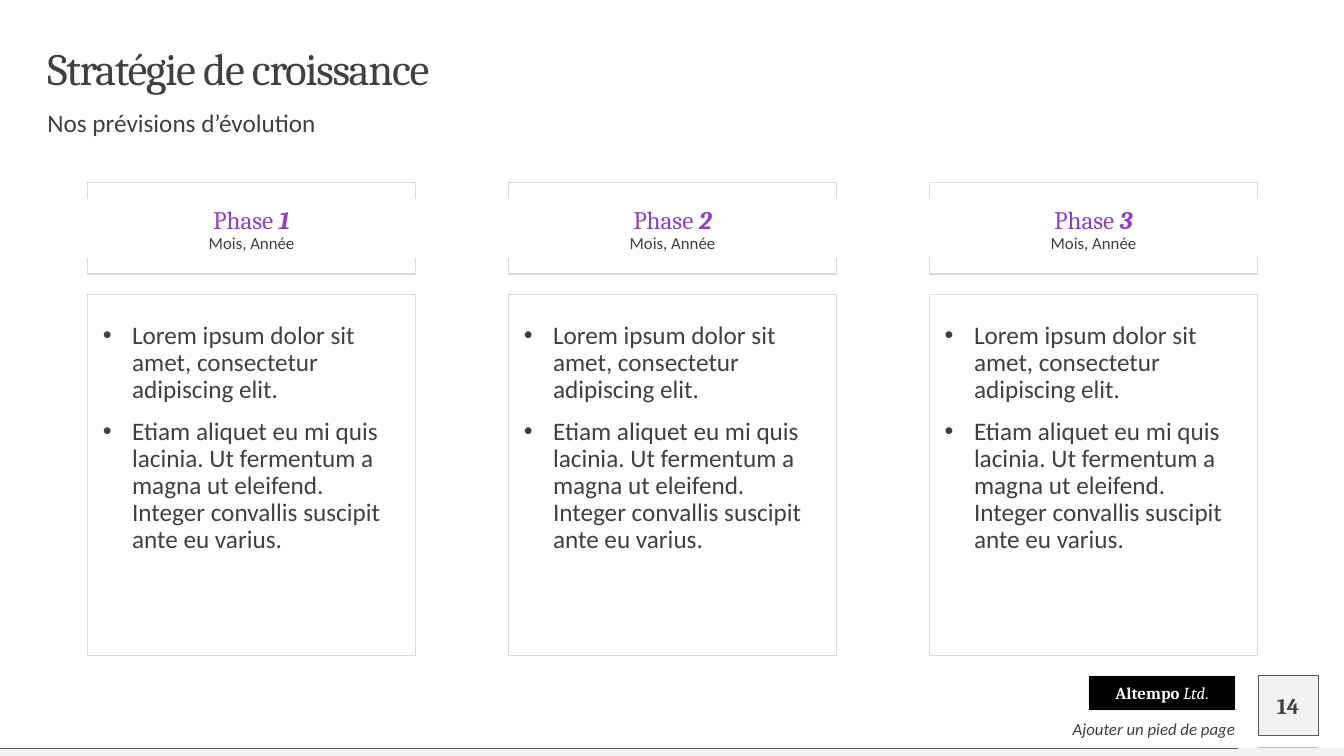
from lxml import etree
from pptx import Presentation
from pptx.dml.color import RGBColor
from pptx.enum.shapes import MSO_CONNECTOR, MSO_SHAPE
from pptx.enum.text import MSO_ANCHOR, MSO_AUTO_SIZE, PP_ALIGN
from pptx.oxml.ns import qn
from pptx.util import Inches, Pt

RECTANGLE = MSO_SHAPE.RECTANGLE
STRAIGHT = MSO_CONNECTOR.STRAIGHT
TOP, MIDDLE, BOTTOM = MSO_ANCHOR.TOP, MSO_ANCHOR.MIDDLE, MSO_ANCHOR.BOTTOM
LEFT, CENTER, RIGHT = PP_ALIGN.LEFT, PP_ALIGN.CENTER, PP_ALIGN.RIGHT
NO_AUTOFIT = MSO_AUTO_SIZE.NONE
TITLE_ONLY = 5

HEADING, BODY = "Cambria", "Calibri"
COLORS = {
    "text": "404040",
    "accent": "8E40C8",
    "frame": "D9D9D9",
    "panel": "F2F2F2",
    "edge": "595959",
    "rule": "BFBFBF",
    "black": "000000",
    "white": "FFFFFF",
}

PHASE_COUNT = 3
PHASE_LEFT, PHASE_PITCH, PHASE_WIDTH = 0.87, 4.175, 3.25
BRACKET_TOP, BRACKET_BOTTOM, BRACKET_DEPTH = 1.81, 2.72, 0.16
PHASE_DATE = "Mois, Année"
PHASE_POINTS = [
    "Lorem ipsum dolor sit amet, consectetur adipiscing elit.",
    "Etiam aliquet eu mi quis lacinia. Ut fermentum a magna ut eleifend. "
    "Integer convallis suscipit ante eu varius.",
]


def color(name):
    return RGBColor.from_string(COLORS[name])


def styled(text, size=18, font=BODY, ink="text", bold=False, italic=False, spacing=None):
    """Describe a run of text; spacing is the letter spacing in points."""
    return {"text": text, "size": size, "font": font, "ink": ink,
            "bold": bold, "italic": italic, "spacing": spacing}


def add_run(paragraph, style):
    run = paragraph.add_run()
    run.text = style["text"]
    run.font.size = Pt(style["size"])
    run.font.name = style["font"]
    run.font.bold = style["bold"]
    run.font.italic = style["italic"]
    run.font.color.rgb = color(style["ink"])
    if style["spacing"] is not None:
        run.font._element.set("spc", str(int(style["spacing"] * 100)))


def add_bullet(paragraph):
    properties = paragraph._p.get_or_add_pPr()
    indent = Inches(0.29)
    properties.set("marL", str(indent))
    properties.set("indent", str(-indent))
    bullet_color = etree.SubElement(properties, qn("a:buClr"))
    etree.SubElement(bullet_color, qn("a:srgbClr"), val=COLORS["text"])
    etree.SubElement(properties, qn("a:buFont"), typeface="Arial")
    etree.SubElement(properties, qn("a:buChar"), char="•")


def write_text(shape, paragraphs, align=LEFT, anchor=TOP, margins=(0, 0, 0, 0),
               line_spacing=1.0, space_before=0, bullets=False, wrap=True):
    """Fill a shape; each paragraph is a list of styled runs, None being a line break."""
    frame = shape.text_frame
    frame.auto_size = NO_AUTOFIT
    frame.word_wrap = wrap
    frame.vertical_anchor = anchor
    (frame.margin_left, frame.margin_top,
     frame.margin_right, frame.margin_bottom) = map(Inches, margins)
    for index, runs in enumerate(paragraphs):
        paragraph = frame.add_paragraph() if index else frame.paragraphs[0]
        if bullets:
            add_bullet(paragraph)
        paragraph.alignment = align
        paragraph.line_spacing = line_spacing
        paragraph.space_before = Pt(space_before if index else 0)
        for style in runs:
            if style is None:
                paragraph.add_line_break()
            else:
                add_run(paragraph, style)


class SlideBuilder:
    """Draws on one title-only slide; all lengths are inches."""

    def __init__(self, presentation):
        self.slide = presentation.slides.add_slide(presentation.slide_layouts[TITLE_ONLY])
        self.shapes = self.slide.shapes

    def paint(self, shape, fill=None, line=None, weight=0.75):
        shape.shadow.inherit = False
        if fill:
            shape.fill.solid()
            shape.fill.fore_color.rgb = color(fill)
        else:
            shape.fill.background()
        if line:
            shape.line.color.rgb = color(line)
            shape.line.width = Pt(weight)
        else:
            shape.line.fill.background()
        return shape

    def title(self, box, style):
        shape = self.shapes.title
        shape.left, shape.top, shape.width, shape.height = map(Inches, box)
        write_text(shape, [[style]], anchor=MIDDLE, line_spacing=0.9)

    def text(self, box, paragraphs, **layout):
        write_text(self.shapes.add_textbox(*map(Inches, box)), paragraphs, **layout)

    def rectangle(self, box, **look):
        return self.paint(self.shapes.add_shape(RECTANGLE, *map(Inches, box)), **look)

    def line(self, start, end, ink, weight):
        connector = self.shapes.add_connector(STRAIGHT, *map(Inches, start + end))
        connector.line.color.rgb = color(ink)
        connector.line.width = Pt(weight)
        etree.SubElement(connector._element.spPr, qn("a:effectLst"))

    def bracket(self, left, edge, inner):
        """Draw an open bracket whose long side is at edge and whose ends are at inner."""
        right = left + PHASE_WIDTH
        points = [(left, inner), (left, edge), (right, edge), (right, inner)]
        corners = [(Inches(x), Inches(y)) for x, y in points]
        builder = self.shapes.build_freeform(*corners[0])
        builder.add_line_segments(corners[1:], close=False)
        self.paint(builder.convert_to_shape(), line="frame", weight=1)

    def phase(self, number):
        left = PHASE_LEFT + (number - 1) * PHASE_PITCH
        self.bracket(left, BRACKET_TOP, BRACKET_TOP + BRACKET_DEPTH)
        self.bracket(left, BRACKET_BOTTOM, BRACKET_BOTTOM - BRACKET_DEPTH)
        heading = [
            styled("Phase ", font=HEADING, ink="accent"),
            styled(str(number), font=HEADING, ink="accent", bold=True, italic=True),
            None,
            styled(PHASE_DATE, size=12),
        ]
        self.text((left, 1.89, PHASE_WIDTH, 0.79), [heading], align=CENTER, anchor=MIDDLE,
                  margins=(0.12, 0.04, 0.12, 0.04), line_spacing=0.9)
        card = self.rectangle((left, 2.92, PHASE_WIDTH, 3.58), line="frame")
        write_text(card, [[styled(point)] for point in PHASE_POINTS], bullets=True,
                   margins=(0.15, 0.28, 0.15, 0), line_spacing=0.9, space_before=10)

    def footer(self):
        self.rectangle((0, 7.42, 13.33, 0.08), fill="panel")
        self.line((0, 7.42), (12.28, 7.42), "edge", 0.5)
        self.line((12.48, 7.41), (13.07, 7.41), "rule", 0.5)
        company = self.rectangle((10.8, 6.7, 1.45, 0.35), fill="black", line="panel")
        name = [
            styled("Altempo ", size=12, font=HEADING, ink="white", bold=True),
            styled("Ltd", size=12, font=HEADING, ink="white", italic=True),
            styled(".", size=12, font=HEADING, ink="white"),
        ]
        write_text(company, [name], align=CENTER, anchor=MIDDLE, wrap=False)
        self.text((7.75, 7.1, 4.5, 0.23),
                  [[styled("Ajouter un pied de page", size=12, italic=True)]],
                  align=RIGHT, anchor=BOTTOM)
        number_box = self.rectangle((12.48, 6.7, 0.59, 0.59), fill="panel",
                                    line="edge", weight=0.25)
        write_text(number_box, [[styled("14", size=16, font=HEADING, bold=True)]],
                   align=CENTER, anchor=MIDDLE)


def main():
    presentation = Presentation()
    presentation.slide_width = Inches(13.33)
    presentation.slide_height = Inches(7.5)
    builder = SlideBuilder(presentation)
    builder.title((0.47, 0.47, 12.4, 0.47),
                  styled("Stratégie de croissance", size=32, font=HEADING, spacing=-1))
    builder.text((0.47, 1.1, 12.4, 0.39), [[styled("Nos prévisions d’évolution")]],
                 line_spacing=0.9)
    for number in range(1, PHASE_COUNT + 1):
        builder.phase(number)
    builder.footer()
    presentation.save("out.pptx")


if __name__ == "__main__":
    main()
